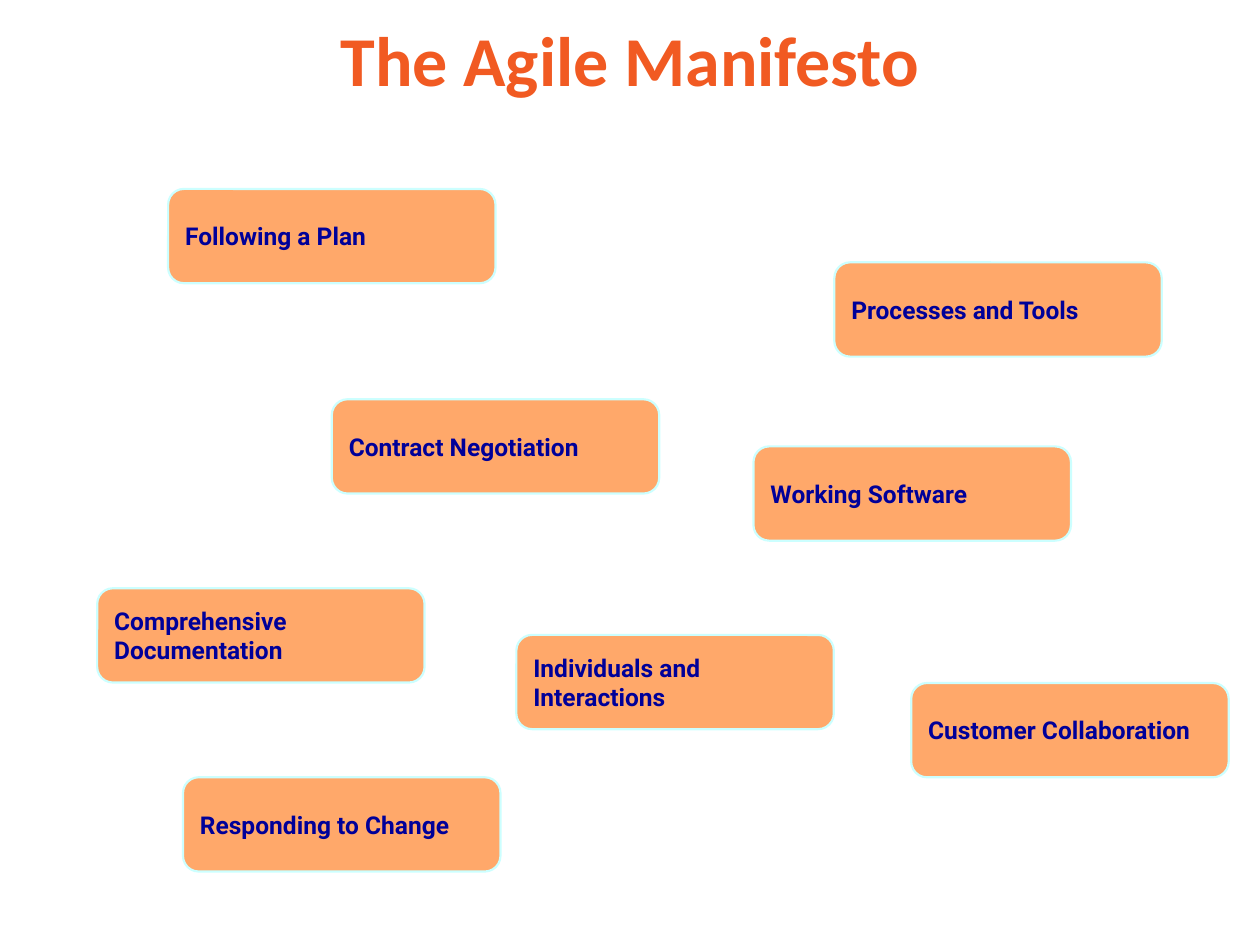
"""Build the Agile Manifesto slide with its eight scattered value cards."""
from pptx import Presentation
from pptx.dml.color import RGBColor
from pptx.enum.shapes import MSO_SHAPE
from pptx.enum.text import MSO_ANCHOR, PP_ALIGN
from pptx.util import Cm, Pt

ROUNDED = MSO_SHAPE.ROUNDED_RECTANGLE
MIDDLE = MSO_ANCHOR.MIDDLE
LEFT, CENTER = PP_ALIGN.LEFT, PP_ALIGN.CENTER

ORANGE = RGBColor(0xF1, 0x5A, 0x22)
PEACH = RGBColor(0xFF, 0xA8, 0x6A)
PALE_CYAN = RGBColor(0xCC, 0xFF, 0xFF)
NAVY = RGBColor(0x00, 0x00, 0x99)

VALUE_W, PRACTICE_W, CARD_H = 6.4, 6.6, 1.9


def write(tf, text, *, font, size, color, align):
    tf.word_wrap = True
    tf.vertical_anchor = MIDDLE
    p = tf.paragraphs[0]
    p.alignment = align
    r = p.add_run()
    r.text = text
    r.font.name = font
    r.font.size = Pt(size)
    r.font.bold = True
    r.font.color.rgb = color


prs = Presentation()
prs.slide_width, prs.slide_height = Cm(25.4), Cm(19.05)
s = prs.slides.add_slide(prs.slide_layouts[5])

title = s.shapes.title
title.left, title.top = Cm(1.02), Cm(0)
title.width, title.height = Cm(23.36), Cm(2.34)
tf = title.text_frame
tf.margin_left = tf.margin_right = tf.margin_top = tf.margin_bottom = Cm(0.08)
write(tf, "The Agile Manifesto", font="Calibri", size=40, color=ORANGE, align=CENTER)

cards = [
    ("Responding to Change", 3.69, 15.67, VALUE_W),
    ("Following a Plan", 3.39, 3.81, PRACTICE_W),
    ("Customer Collaboration", 18.37, 13.77, VALUE_W),
    ("Contract Negotiation", 6.69, 8.05, PRACTICE_W),
    ("Individuals and Interactions", 10.41, 12.8, VALUE_W),
    ("Processes and Tools", 16.82, 5.29, PRACTICE_W),
    ("Working Software", 15.19, 9, VALUE_W),
    ("Comprehensive Documentation", 1.96, 11.86, PRACTICE_W),
]
for text, x, y, w in cards:
    sp = s.shapes.add_shape(ROUNDED, Cm(x), Cm(y), Cm(w), Cm(CARD_H))
    sp.shadow.inherit = False
    sp.fill.solid()
    sp.fill.fore_color.rgb = PEACH
    sp.line.color.rgb = PALE_CYAN
    sp.line.width = Pt(1.25)
    write(sp.text_frame, text, font="Roboto", size=14, color=NAVY, align=LEFT)

prs.save("out.pptx")
